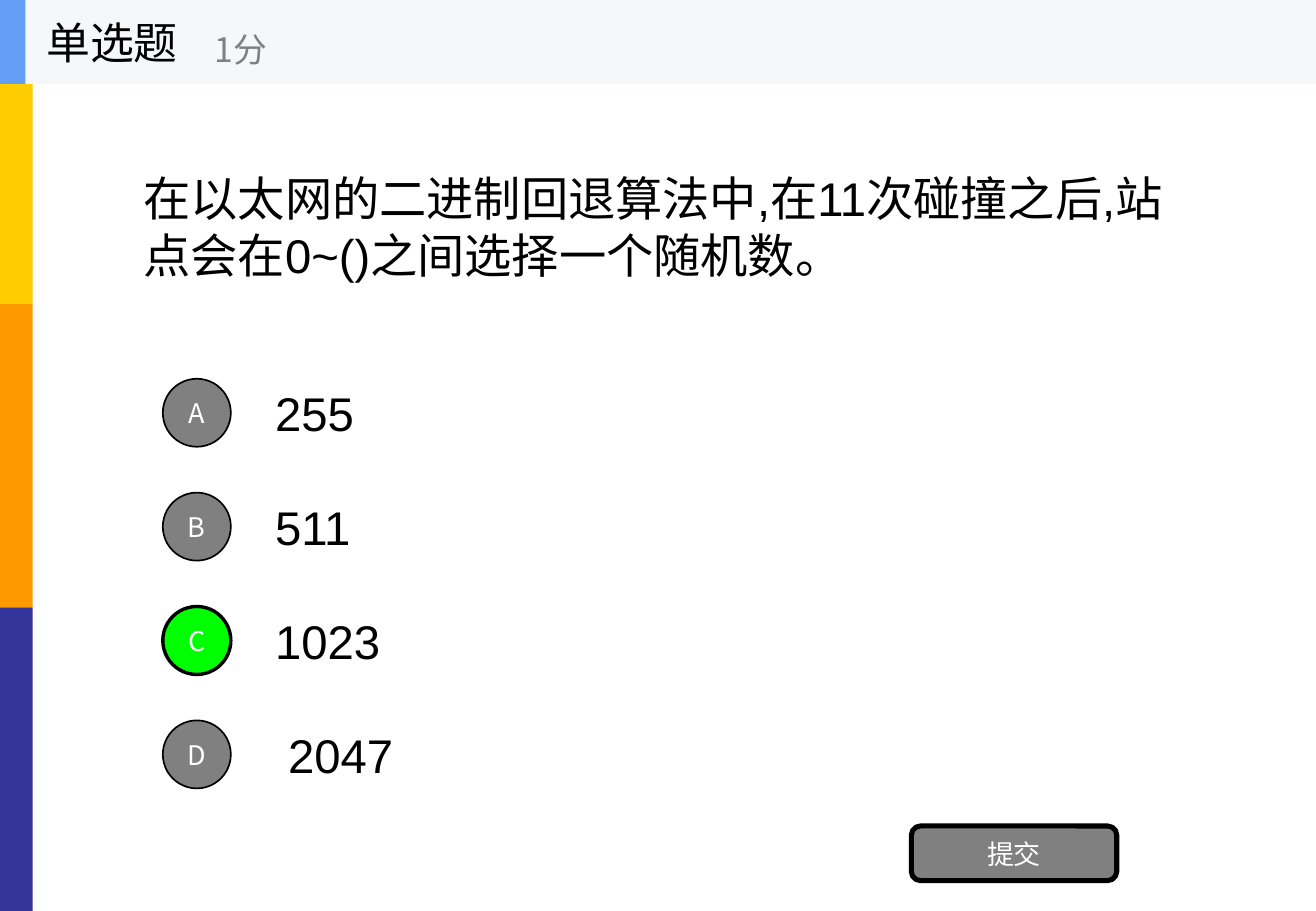
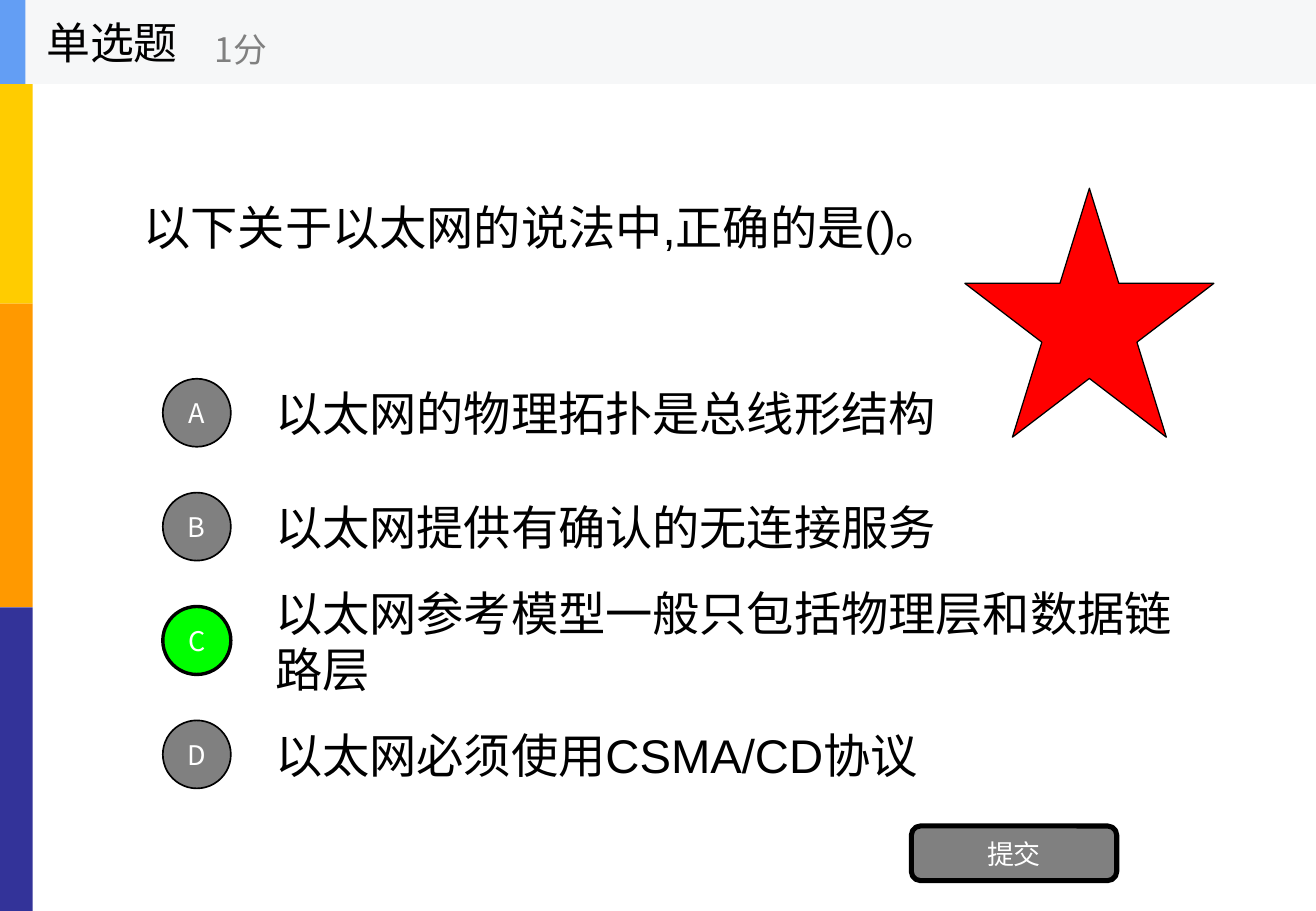
"""Build two single-choice quiz slides that share a header, a side stripe and answer rows."""
import lxml.etree
import pptx
import pptx.dml.color
import pptx.enum.shapes
import pptx.enum.text
import pptx.oxml.ns
import pptx.util

SHAPE = pptx.enum.shapes.MSO_SHAPE
ALIGN = pptx.enum.text.PP_ALIGN
hex_colour = pptx.dml.color.RGBColor.from_string
inches = pptx.util.Inches

WIDTH, HEIGHT = 10.83, 7.5
HEADER = 0.69
ROW = HEIGHT / 8
FIRST_ROW = 3.25 * ROW
CIRCLE = 0.56
ANSWER_HEIGHT = 0.75 * ROW
BLACK, GREY, WHITE, GREEN, RED = "000000", "808080", "FFFFFF", "00FF00", "FF0000"
CHINESE_FONT = "Noto Sans CJK SC"

QUESTIONS = [
    ("在以太网的二进制回退算法中,在11次碰撞之后,站点会在0~()之间选择一个随机数。",
     ["255", "511", "1023", " 2047"], "C", False),
    ("以下关于以太网的说法中,正确的是()。",
     ["以太网的物理拓扑是总线形结构", "以太网提供有确认的无连接服务",
      "以太网参考模型一般只包括物理层和数据链路层", "以太网必须使用CSMA/CD协议"], "C", True),
]
BANDS = [
    (0, 0, 0.27, HEIGHT / 3, "FFCC00"),
    (0, HEIGHT / 3, 0.27, HEIGHT / 3, "FF9900"),
    (0, HEIGHT * 2 / 3, 0.27, HEIGHT / 3, "333399"),
    (0, 0, WIDTH, HEADER, "F6F7F8"),
    (0, 0, 0.21, HEADER, "639EF4"),
]


def draw(slide, kind, box, fill, line_width=0):
    """Add a flat filled shape, outlined in black when a line width is given."""
    shape = slide.shapes.add_shape(kind, *map(inches, box))
    shape.shadow.inherit = False
    shape.fill.solid()
    shape.fill.fore_color.rgb = hex_colour(fill)
    if line_width:
        shape.line.color.rgb = hex_colour(BLACK)
        shape.line.width = pptx.util.Pt(line_width)
    else:
        shape.line.fill.background()
    return shape


def write(shape, text, size, colour, font=CHINESE_FONT, alignment=ALIGN.LEFT):
    """Put one formatted, vertically centred paragraph in a shape."""
    frame = shape.text_frame
    frame.text = text
    frame.word_wrap = True
    frame.auto_size = pptx.enum.text.MSO_AUTO_SIZE.NONE
    frame.vertical_anchor = pptx.enum.text.MSO_ANCHOR.MIDDLE
    paragraph = frame.paragraphs[0]
    paragraph.alignment = alignment
    for run in paragraph.runs:
        run.font.size = pptx.util.Pt(size)
        run.font.name = font
        run.font.color.rgb = hex_colour(colour)
    for properties in shape.element.iter(pptx.oxml.ns.qn("a:rPr")):
        east_asian = lxml.etree.SubElement(properties, pptx.oxml.ns.qn("a:ea"))
        east_asian.set("typeface", CHINESE_FONT)


presentation = pptx.Presentation()
presentation.slide_width = inches(WIDTH)
presentation.slide_height = inches(HEIGHT)
layout = presentation.slide_layouts[5]
slides = [presentation.slides.add_slide(layout) for question in QUESTIONS]

for number, (*box, colour) in enumerate(BANDS):
    band = draw(slides[0], SHAPE.RECTANGLE, box, colour)
    band.element.nvSpPr.cNvPr.set("id", str(100 + number))
    layout.shapes.element.append(band.element)

for slide, (question, answers, correct, starred) in zip(slides, QUESTIONS):
    title = slide.shapes.title
    title.left, title.top, title.width, title.height = map(inches, (0.28, 0, 2.08, HEADER))
    write(title, "单选题", 26, BLACK)
    score_box = slide.shapes.add_textbox(*map(inches, (1.67, 0.12, 2.5, 0.56)))
    write(score_box, "1分", 20, GREY)

    question_box = slide.shapes.add_textbox(
        *map(inches, (WIDTH * 0.1, HEADER, WIDTH * 0.8, ROW * 2.5)))
    write(question_box, question, 28, BLACK, "Arial")

    for row, (letter, answer) in enumerate(zip("ABCD", answers)):
        top = FIRST_ROW + row * ROW
        answer_box = slide.shapes.add_textbox(
            *map(inches, (WIDTH * 0.2, top, WIDTH * 0.7, ANSWER_HEIGHT)))
        write(answer_box, answer, 28, BLACK, "Arial")
        fill, line_width = (GREEN, 2) if letter == correct else (GREY, 1)
        circle_top = top + (ANSWER_HEIGHT - CIRCLE) / 2
        circle = draw(slide, SHAPE.OVAL, (1.34, circle_top, CIRCLE, CIRCLE), fill, line_width)
        circle.text_frame.margin_left = circle.text_frame.margin_right = 0
        write(circle, letter, 16, WHITE, alignment=ALIGN.CENTER)

    button = draw(slide, SHAPE.ROUNDED_RECTANGLE, (7.5, 6.8, 1.69, 0.45), GREY, 3)
    write(button, "提交", 16, WHITE, alignment=ALIGN.CENTER)
    if starred:
        draw(slide, SHAPE.STAR_5_POINT, (7.94, 1.55, 2.05, 2.05), RED, 0.75)

presentation.save("out.pptx")
